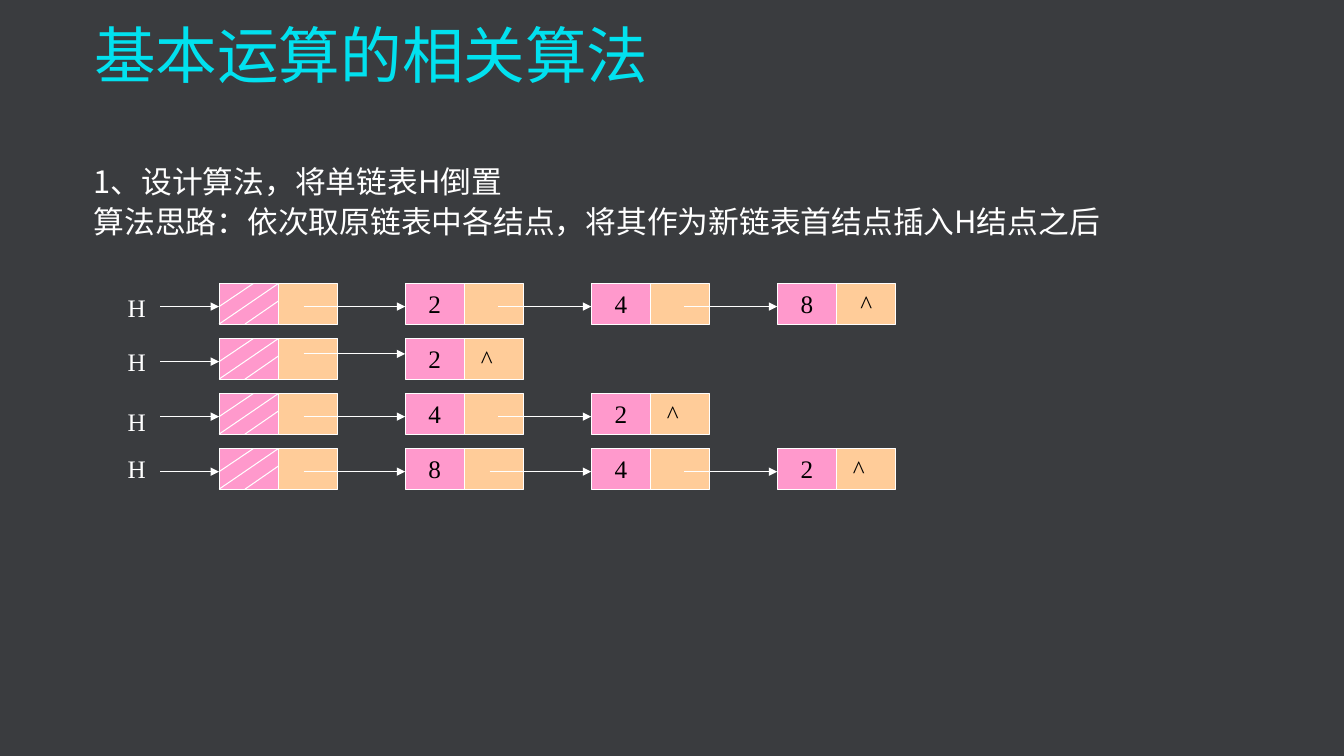
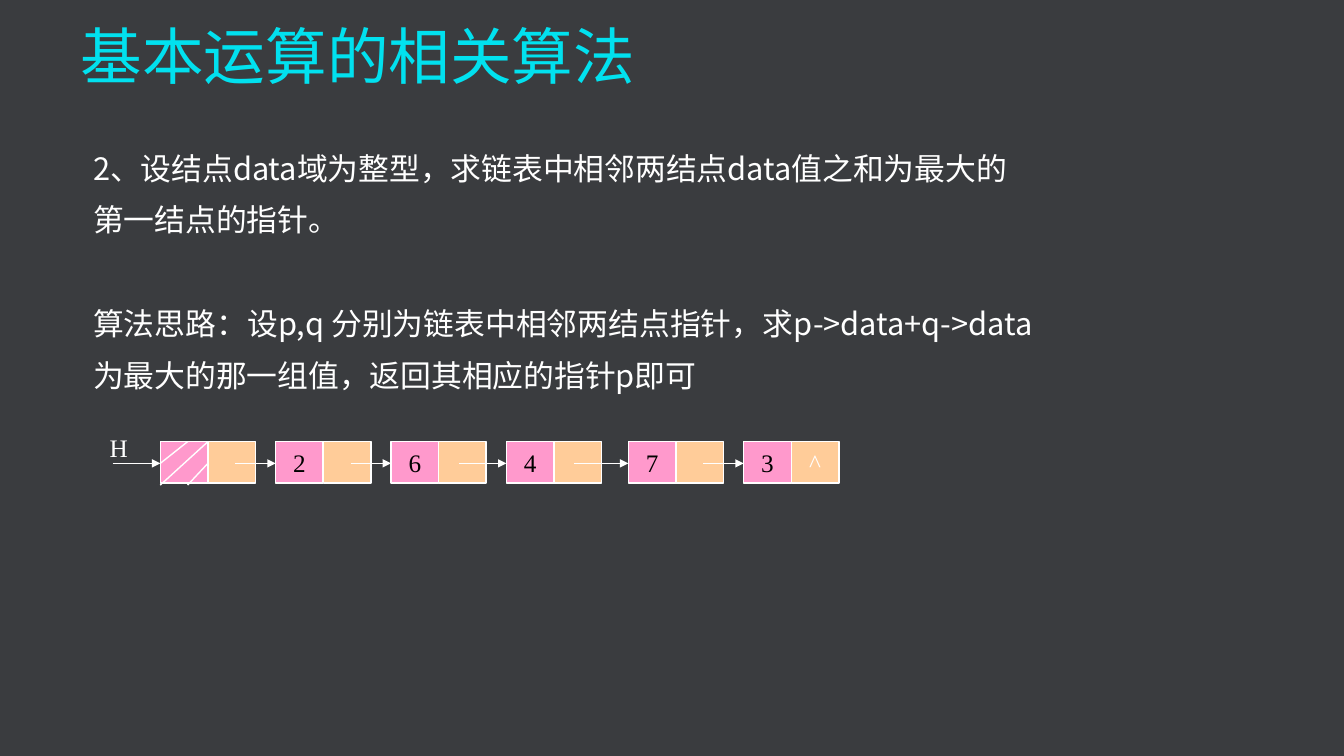
from dataclasses import dataclass

from lxml import etree
from pptx import Presentation
from pptx.dml.color import RGBColor
from pptx.enum import shapes, text
from pptx.oxml import ns
from pptx.util import Pt

BACKGROUND = RGBColor(0x3A, 0x3C, 0x3F)
CYAN = RGBColor(0x01, 0xE1, 0xEF)
WHITE = RGBColor(0xFF, 0xFF, 0xFF)
BLACK = RGBColor(0, 0, 0)
PINK = RGBColor(0xFF, 0x99, 0xCC)
PEACH = RGBColor(0xFF, 0xCC, 0x99)
SANS = "Noto Sans CJK SC"
SERIF = "Times New Roman"
TITLE = "基本运算的相关算法"
LEFT, CENTER, JUSTIFY = text.PP_ALIGN.LEFT, text.PP_ALIGN.CENTER, text.PP_ALIGN.JUSTIFY


@dataclass
class ChainStyle:
    xs: list
    cell_w: float
    cell_h: float
    line_w: float
    head_arrow: float
    arrow_dy: float
    hatch: list


WIDE = ChainStyle(
    xs=[156.5 + 132.9 * i for i in range(4)],
    cell_w=42.4, cell_h=29, line_w=0.75, head_arrow=42, arrow_dy=16.5,
    hatch=[(24.5, 0, 0, 16.5), (42.4, 0, 0, 29), (42.4, 12.5, 18.5, 29)],
)
NARROW = ChainStyle(
    xs=[114.5 + 82.4 * i + (4.7 if i > 3 else 0) for i in range(6)],
    cell_w=34, cell_h=29.5, line_w=1, head_arrow=34, arrow_dy=15.5,
    hatch=[(19.5, 0, 0, 15.5), (34, 0, 0, 31), (34, 15.5, 19.5, 31)],
)


def format_runs(p, font, size, color):
    for r in p.runs:
        r.font.name = font
        r.font.size = Pt(size)
        r.font.color.rgb = color
        ea = etree.SubElement(r._r.get_or_add_rPr(), ns.qn("a:ea"))
        ea.set("typeface", font)


def set_insets(tf, left, top):
    tf.margin_left, tf.margin_right = Pt(left), Pt(7.2)
    tf.margin_top = tf.margin_bottom = Pt(top)


def add_title(s, x, y):
    sp = s.shapes.title
    sp.left, sp.top, sp.width, sp.height = Pt(x), Pt(y), Pt(841), Pt(33)
    tf = sp.text_frame
    tf.text = TITLE
    tf.word_wrap = True
    tf.vertical_anchor = text.MSO_ANCHOR.TOP
    set_insets(tf, 7.2, 3.6)
    p = tf.paragraphs[0]
    p.alignment = LEFT
    p.line_spacing = 0.9
    format_runs(p, SANS, 44, CYAN)


def add_body(s, x, y, w, h, pitch, gap, paragraphs):
    tf = s.shapes.add_textbox(Pt(x), Pt(y), Pt(w), Pt(h)).text_frame
    tf.word_wrap = True
    set_insets(tf, 7.2, 6)
    for i, (content, align) in enumerate(paragraphs):
        p = tf.add_paragraph() if i else tf.paragraphs[0]
        p.text = content
        p.alignment = align
        p.line_spacing = Pt(pitch)
        p.space_before = Pt(gap if i else 0)
        format_runs(p, SANS, 22, WHITE)


def add_label(g, x, y):
    tf = g.shapes.add_textbox(Pt(x), Pt(y), Pt(30), Pt(29)).text_frame
    tf.text = "H"
    tf.word_wrap = True
    format_runs(tf.paragraphs[0], SERIF, 18, WHITE)


def add_cell(g, st, x, y, fill, content="", color=BLACK, indent=None):
    sp = g.shapes.add_shape(shapes.MSO_SHAPE.RECTANGLE, Pt(x), Pt(y), Pt(st.cell_w), Pt(st.cell_h))
    sp.shadow.inherit = False
    sp.fill.solid()
    sp.fill.fore_color.rgb = fill
    sp.line.color.rgb = WHITE
    sp.line.width = Pt(st.line_w)
    if content:
        tf = sp.text_frame
        tf.text = content
        tf.vertical_anchor = text.MSO_ANCHOR.MIDDLE
        set_insets(tf, indent or 7.2, 3.6)
        p = tf.paragraphs[0]
        p.alignment = LEFT if indent else CENTER
        format_runs(p, SERIF, 18, color)


def add_line(g, st, x1, y1, x2, y2, arrow=False):
    c = g.shapes.add_connector(shapes.MSO_CONNECTOR.STRAIGHT, Pt(x1), Pt(y1), Pt(x2), Pt(y2))
    c.line.color.rgb = WHITE
    c.line.width = Pt(st.line_w)
    if arrow:
        etree.SubElement(c.line._get_or_add_ln(), ns.qn("a:tailEnd")).set("type", "triangle")
    etree.SubElement(c._element.spPr, ns.qn("a:effectLst"))


def add_chain(s, st, y, label, values, stems, null_color=BLACK, null_indent=None, link_dy=None):
    g = s.shapes.add_group_shape()
    head = st.xs[0]
    add_label(g, *label)
    add_cell(g, st, head, y, PINK)
    add_cell(g, st, head + st.cell_w, y, PEACH)
    for x1, y1, x2, y2 in st.hatch:
        add_line(g, st, head + x1, y + y1, head + x2, y + y2)
    for i, value in enumerate(values, 1):
        null = "^" if i == len(values) else ""
        add_cell(g, st, st.xs[i], y, PINK, value)
        add_cell(g, st, st.xs[i] + st.cell_w, y, PEACH, null, null_color, null_indent)
    arrow_y = y + st.arrow_dy
    add_line(g, st, head - st.head_arrow, arrow_y, head, arrow_y, True)
    link_y = y + (link_dy or st.arrow_dy)
    for x, target, stem in zip(st.xs, st.xs[1:], stems):
        add_line(g, st, x + st.cell_w + stem, link_y, target, link_y, True)


def build_reversal(s):
    add_title(s, 60, 14.4)
    add_body(s, 59.8, 107.3, 736.6, 377, 29, 0, [
        ("1、设计算法，将单链表H倒置", JUSTIFY),
        ("算法思路：依次取原链表中各结点，将其作为新链表首结点插入H结点之后", JUSTIFY),
    ])
    rows = [
        (205.2, "248", (18, 24, 24), {}),
        (243.6, "2", (18,), {"null_indent": 11.7, "link_dy": 11}),
        (286.6, "42", (18, 24), {"null_indent": 11.7}),
        (320.4, "842", (18, 18, 24), {"null_indent": 11.7}),
    ]
    for i, (label_y, values, stems, options) in enumerate(rows):
        add_chain(s, WIDE, 202.5 + 39.3 * i, (84.2, label_y), values, stems, **options)


def build_max_pair(s):
    add_title(s, 50.4, 15.1)
    add_body(s, 59.4, 90, 685.4, 450, 37, 37, [
        ("2、设结点data域为整型，求链表中相邻两结点data值之和为最大的第一结点的指针。", LEFT),
        ("算法思路：设p,q 分别为链表中相邻两结点指针，求p->data+q->data为最大的那一组值，"
         "返回其相应的指针p即可", JUSTIFY),
    ])
    add_chain(s, NARROW, 315.5, (71.3, 305.3), "26473", (19.5, 19.5, 14.5, 14.5, 19.5), WHITE)


def main():
    prs = Presentation()
    prs.slide_width, prs.slide_height = Pt(960), Pt(540)
    fill = prs.slide_master.background.fill
    fill.solid()
    fill.fore_color.rgb = BACKGROUND
    for build in (build_reversal, build_max_pair):
        build(prs.slides.add_slide(prs.slide_layouts[5]))
    prs.save("out.pptx")


if __name__ == "__main__":
    main()
